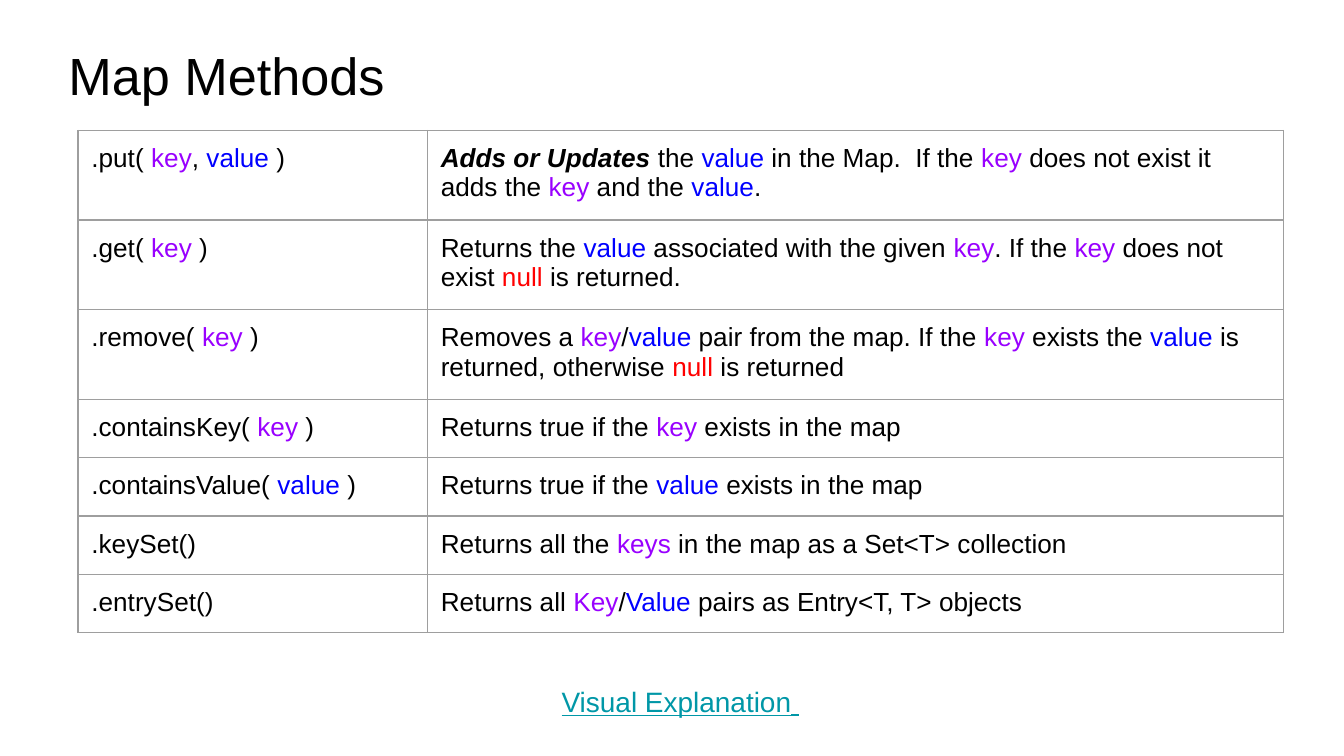
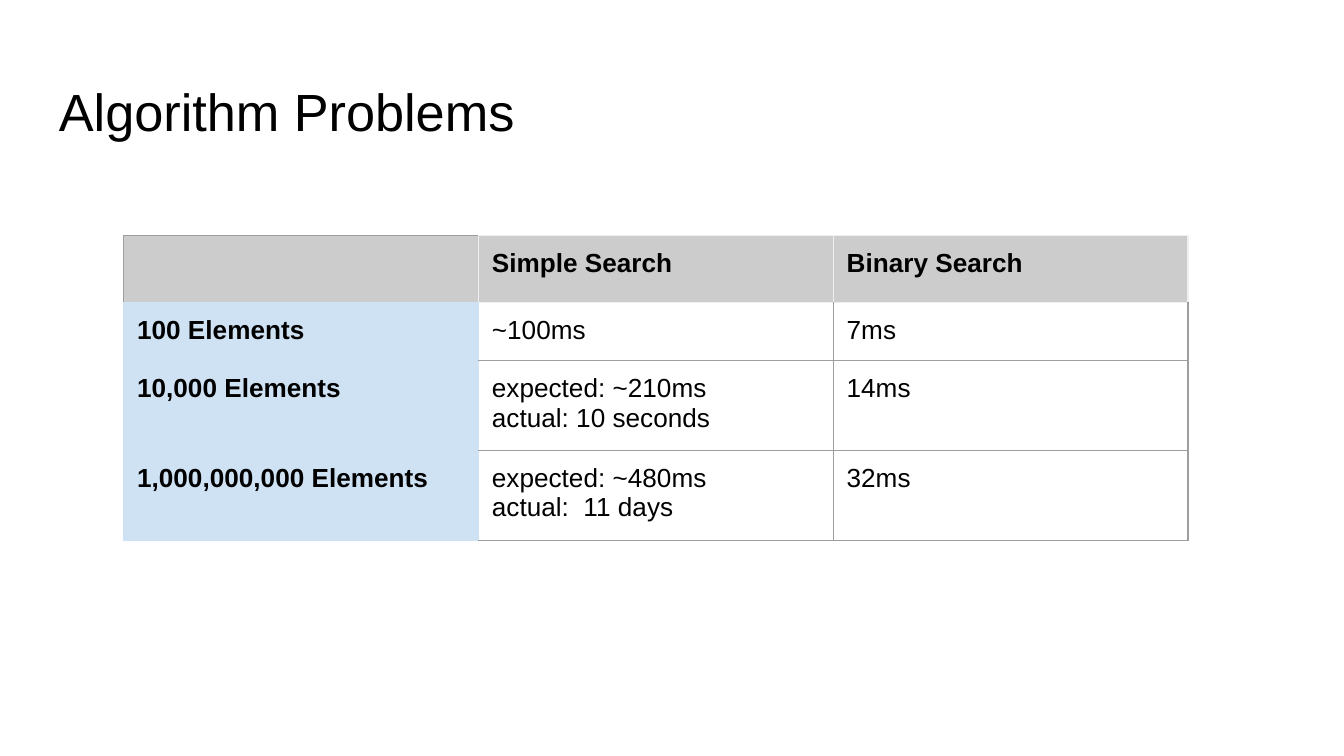
from lxml import etree
from pptx import Presentation
from pptx.dml.color import RGBColor
from pptx.enum.text import MSO_ANCHOR
from pptx.oxml.ns import qn
from pptx.util import Inches, Pt

TOP = MSO_ANCHOR.TOP
WIDTH = 10
HEIGHT = WIDTH * 9 / 16
UNIT = WIDTH / 100  # square grid, 100 columns across the slide
FONT = "Arial"
BLACK, PURPLE, BLUE, RED = "000000", "9900FF", "0000FF", "FF0000"
TEAL, WHITE = "0097A7", "FFFFFF"
GREY, HEADER, PALE, SKY = "9E9E9E", "CCCCCC", "EFEFEF", "CFE2F3"

# Formats of the words written in [brackets]
MARKS = {
    "key": {"color": PURPLE}, "keys": {"color": PURPLE},
    "value": {"color": BLUE}, "null": {"color": RED},
    "adds or updates": {"bold": True, "italic": True},
}


def rgb(value):
    return RGBColor.from_string(value)


def grid(n):
    return Inches(n * UNIT)


def add_text(p, text, size=14, color=BLACK, bold=False, italic=False,
             underline=False):
    for i, line in enumerate(text.split("\n")):
        if i:
            p.add_line_break()
        r = p.add_run()
        r.text = line
        f = r.font
        f.name, f.size, f.color.rgb = FONT, Pt(size), rgb(color)
        f.bold, f.italic, f.underline = bold, italic, underline


def add_marked(p, text, **fmt):
    """Write text whose [bracketed] words take their format from MARKS."""
    for i, part in enumerate(text.replace("]", "[").split("[")):
        if part:
            mark = MARKS[part.lower()] if i % 2 else {}
            add_text(p, part, **{**fmt, **mark})


def set_borders(cell, left, right, top, bottom):
    tc_pr = cell._tc.get_or_add_tcPr()
    sides = {"lnL": left, "lnR": right, "lnT": top, "lnB": bottom}
    for tag, color in sides.items():
        ln = etree.SubElement(tc_pr, qn("a:" + tag), w=str(Pt(0.75)))
        fill = etree.SubElement(ln, qn("a:solidFill"))
        etree.SubElement(fill, qn("a:srgbClr"), val=color)


class Deck:
    def __init__(self):
        self.prs = Presentation()
        self.prs.slide_width = Inches(WIDTH)
        self.prs.slide_height = Inches(HEIGHT)
        self.s = None

    def slide(self):
        self.s = self.prs.slides.add_slide(self.prs.slide_layouts[6])
        fill = self.s.background.fill
        fill.solid()
        fill.fore_color.rgb = rgb(WHITE)

    def text(self, x, y, w, h):
        sp = self.s.shapes.add_textbox(*map(grid, (x, y, w, h)))
        tf = sp.text_frame
        tf.word_wrap, tf.vertical_anchor = True, TOP
        tf.margin_left = tf.margin_right = grid(1)
        tf.margin_top = tf.margin_bottom = grid(1)
        return tf.paragraphs[0]

    def title(self, text, x, y):
        add_text(self.text(x, y, 93.2, 6.3), text, size=28)

    def table(self, x, y, widths, rows, style):
        """style(row, col) gives fill, bold and the four border colours."""
        row_h, frame_size = 4.2, 32.8
        frame = self.s.shapes.add_table(
            len(rows), len(widths), grid(x), grid(y),
            grid(sum(widths)), grid(row_h * len(rows)))
        table = frame.table
        table.first_row = table.horz_banding = False
        for column, w in zip(table.columns, widths):
            column.width = grid(w)
        for i, row in enumerate(rows):
            table.rows[i].height = grid(row_h)
            for j, text in enumerate(row):
                fill, bold, borders = style(i, j)
                cell = table.cell(i, j)
                cell.margin_left = cell.margin_right = grid(1)
                cell.margin_top = cell.margin_bottom = grid(1)
                cell.vertical_anchor = TOP
                set_borders(cell, *borders)
                if fill:
                    cell.fill.solid()
                    cell.fill.fore_color.rgb = rgb(fill)
                else:
                    cell.fill.background()
                p = cell.text_frame.paragraphs[0]
                p.line_spacing = 1.0
                p.space_before = p.space_after = Pt(0)
                add_marked(p, text, bold=bold)
        # Rows and columns set the drawn size; the frame is a fixed square
        frame.width = frame.height = grid(frame_size)


def plain_style(row, col):
    return None, False, [GREY] * 4


def matrix_style(row, col):
    """Grey header row, blue first column, white body."""
    if row == 0:
        return HEADER, True, [PALE] * 4 if col else [GREY, PALE, GREY, SKY]
    if col == 0:
        return SKY, True, [SKY] * 4
    left = SKY if col == 1 else GREY
    top = PALE if row == 1 else GREY
    return None, False, [left, GREY, top, GREY]


deck = Deck()

# Slide 1: map methods
deck.slide()
deck.title("Map Methods", 4.1, 2.2)
deck.table(5.8, 9.7, [26, 63.7], [
    (".put( [key], [value] )",
     "[Adds or Updates] the [value] in the Map.  If the [key] does not exist "
     "it adds the [key] and the [value]."),
    (".get( [key] )",
     "Returns the [value] associated with the given [key]. If the [key] does "
     "not exist [null] is returned."),
    (".remove( [key] )",
     "Removes a [key]/[value] pair from the map. If the [key] exists the "
     "[value] is returned, otherwise [null] is returned"),
    (".containsKey( [key] )", "Returns true if the [key] exists in the map"),
    (".containsValue( [value] )",
     "Returns true if the [value] exists in the map"),
    (".keySet()",
     "Returns all the [keys] in the map as a Set<T> collection"),
    (".entrySet()",
     "Returns all [Key]/[Value] pairs as Entry<T, T> objects"),
], plain_style)
p = deck.text(40.8, 49.9, 21.2, 4.1)
add_text(p, "Visual Explanation", size=15, color=TEAL, underline=True)
add_text(p, " ", color=TEAL, underline=True)

# Slide 2: search timings
deck.slide()
deck.title("Algorithm Problems", 3.4, 4.9)
deck.table(9.2, 17.5, [26.4] * 3, [
    ("", "Simple Search", "Binary Search"),
    ("100 Elements", "~100ms", "7ms"),
    ("10,000 Elements", "expected: ~210ms\nactual: 10 seconds", "14ms"),
    ("1,000,000,000 Elements", "expected: ~480ms\nactual:  11 days", "32ms"),
], matrix_style)

deck.prs.save("out.pptx")
